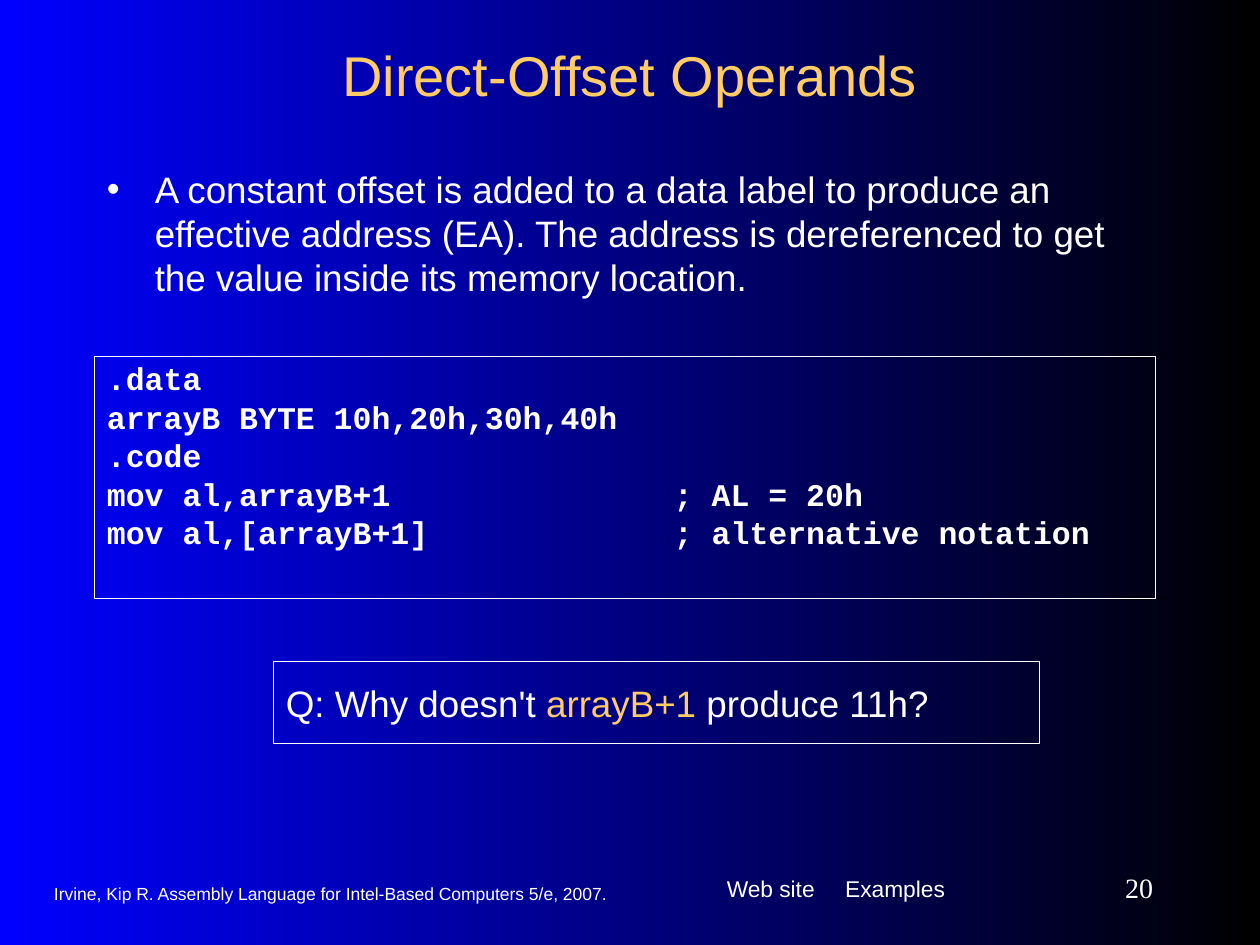
from dataclasses import dataclass

from lxml import etree
from pptx import Presentation
from pptx.dml.color import RGBColor
from pptx.enum.shapes import MSO_SHAPE
from pptx.enum.text import MSO_ANCHOR as Anchor, PP_ALIGN as Align
from pptx.oxml.ns import qn
from pptx.util import Inches, Pt


@dataclass(frozen=True)
class Theme:
    white: RGBColor = RGBColor(0xFF, 0xFF, 0xFF)
    gold: RGBColor = RGBColor(0xFF, 0xCC, 0x66)
    blue: RGBColor = RGBColor(0x00, 0x00, 0xFF)
    black: RGBColor = RGBColor(0x00, 0x00, 0x00)
    sans: str = "Arial"
    mono: str = "Courier New"
    serif: str = "Times New Roman"
    title_size: float = 32
    body_size: float = 21
    code_size: float = 18
    number_size: float = 16
    link_size: float = 13
    credit_size: float = 10


THEME = Theme()

CODE = [
    ".data",
    "arrayB BYTE 10h,20h,30h,40h",
    ".code",
    "mov al,arrayB+1\t\t; AL = 20h",
    "mov al,[arrayB+1]\t\t; alternative notation",
]


def add_run(paragraph, text, size, color=THEME.white, face=THEME.sans, bold=False):
    run = paragraph.add_run()
    run.text = text
    font = run.font
    font.name, font.size, font.bold = face, Pt(size), bold
    font.color.rgb = color


def set_frame(shape, anchor=Anchor.TOP, top=0.05, bottom=0.05):
    """Set wrapping, anchor and margins; return the first paragraph."""
    frame = shape.text_frame
    frame.word_wrap = True
    frame.vertical_anchor = anchor
    frame.margin_left = frame.margin_right = Inches(0.1)
    frame.margin_top, frame.margin_bottom = Inches(top), Inches(bottom)
    frame.paragraphs[0].alignment = Align.LEFT
    return frame.paragraphs[0]


def add_text(slide, box, **frame_options):
    return set_frame(slide.shapes.add_textbox(*map(Inches, box)), **frame_options)


def add_outlined_box(slide, box, **frame_options):
    shape = slide.shapes.add_shape(MSO_SHAPE.RECTANGLE, *map(Inches, box))
    shape.shadow.inherit = False
    shape.fill.background()
    shape.line.color.rgb = THEME.white
    shape.line.width = Pt(0.75)
    return shape, set_frame(shape, **frame_options)


def set_bullet(paragraph, indent):
    properties = paragraph._p.get_or_add_pPr()
    properties.set("marL", str(Inches(indent)))
    properties.set("indent", str(-Inches(indent)))
    color = etree.SubElement(properties, qn("a:buClr"))
    etree.SubElement(color, qn("a:srgbClr"), val=str(THEME.white))
    etree.SubElement(properties, qn("a:buFont"), typeface=THEME.sans)
    etree.SubElement(properties, qn("a:buChar"), char="•")


def set_tabs(paragraph, *stops):
    tabs = etree.SubElement(paragraph._p.get_or_add_pPr(), qn("a:tabLst"))
    for stop in stops:
        etree.SubElement(tabs, qn("a:tab"), pos=str(Inches(stop)), algn="l")


def set_background(slide):
    fill = slide.background.fill
    fill.gradient()
    fill.gradient_angle = 0
    for stop, color in zip(fill.gradient_stops, (THEME.blue, THEME.black)):
        stop.color.rgb = color


def add_title(slide, text):
    title = slide.shapes.title
    title.left, title.top = Inches(0.75), Inches(0.25)
    title.width, title.height = Inches(8.5), Inches(0.67)
    paragraph = set_frame(title, anchor=Anchor.MIDDLE)
    paragraph.alignment = Align.CENTER
    add_run(paragraph, text, THEME.title_size, THEME.gold)


def add_definition(slide):
    paragraph = add_text(slide, (0.75, 1.17, 8.42, 1.35), top=0.15, bottom=0.15)
    set_bullet(paragraph, 0.38)
    add_run(
        paragraph,
        "A constant offset is added to a data label to produce an effective "
        "address (EA). The address is dereferenced to get the value inside "
        "its memory location.",
        THEME.body_size,
    )


def add_code(slide, lines):
    listing, paragraph = add_outlined_box(
        slide, (0.75, 2.83, 8.42, 1.92), top=0.15, bottom=0.25
    )
    for index, line in enumerate(lines):
        if index:
            paragraph = listing.text_frame.add_paragraph()
            paragraph.alignment = Align.LEFT
            paragraph.space_before = Pt(11.2)
        set_tabs(paragraph, 4, 4.5)
        paragraph.line_spacing = 0.5
        add_run(paragraph, line, THEME.code_size, face=THEME.mono, bold=True)


def add_question(slide):
    _, paragraph = add_outlined_box(
        slide, (2.17, 5.25, 6.08, 0.65), top=0.15, bottom=0.15
    )
    add_run(paragraph, "Q: Why doesn't ", THEME.body_size)
    add_run(paragraph, "arrayB+1", THEME.body_size, THEME.gold)
    add_run(paragraph, " produce 11h?", THEME.body_size)


def add_footer(slide):
    links = add_text(slide, (5.67, 6.83, 2.33, 0.52), top=0.15, bottom=0.15)
    set_tabs(links, 0.94)
    add_run(links, "Web site\tExamples", THEME.link_size)

    credit = add_text(slide, (0.33, 6.93, 5.25, 0.33), anchor=Anchor.MIDDLE)
    add_run(
        credit,
        "Irvine, Kip R. Assembly Language for Intel-Based Computers 5/e, 2007.",
        THEME.credit_size,
    )

    number = add_text(slide, (8.17, 6.83, 1.08, 0.42), anchor=Anchor.MIDDLE)
    number.alignment = Align.RIGHT
    add_run(number, "20", THEME.number_size, face=THEME.serif)


def main():
    deck = Presentation()
    deck.slide_width, deck.slide_height = Inches(10), Inches(7.5)
    title_only = deck.slide_layouts[5]
    slide = deck.slides.add_slide(title_only)
    set_background(slide)
    add_footer(slide)
    add_title(slide, "Direct-Offset Operands")
    add_code(slide, CODE)
    add_definition(slide)
    add_question(slide)
    deck.save("out.pptx")


if __name__ == "__main__":
    main()
